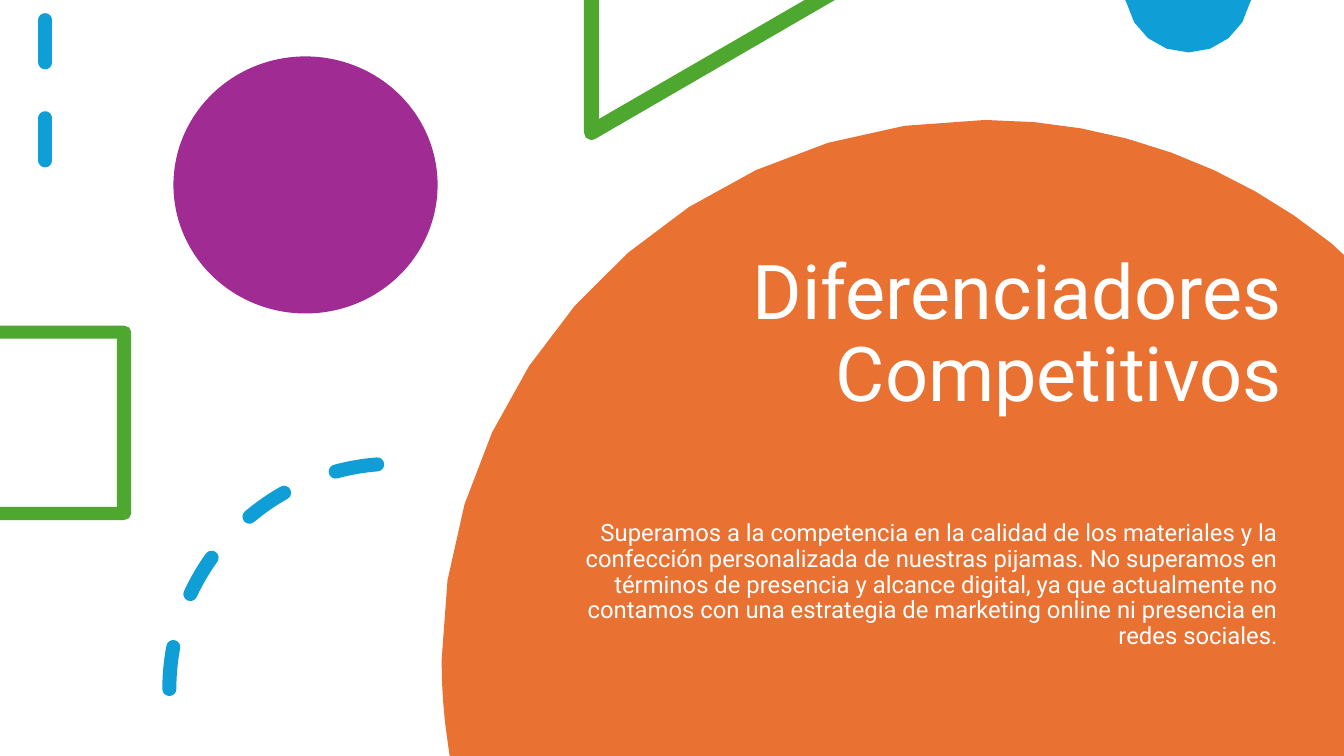
"""Build the slide on competitive differentiators."""
import math
import pptx
import pptx.util
import pptx.dml.color
import pptx.enum.dml
import pptx.enum.shapes
import pptx.enum.text
import pptx.oxml.ns
import lxml.etree

Inches = pptx.util.Inches
RGBColor = pptx.dml.color.RGBColor
KIND = pptx.enum.shapes.MSO_SHAPE
ANCHOR = pptx.enum.text.MSO_ANCHOR

ORANGE = RGBColor(0xE9, 0x71, 0x32)
GREEN = RGBColor(0x4E, 0xA7, 0x2E)
BLUE = RGBColor(0x0F, 0x9E, 0xD5)
PURPLE = RGBColor(0xA0, 0x2B, 0x93)
WHITE = RGBColor(0xFF, 0xFF, 0xFF)

deck = pptx.Presentation()
deck.slide_width = Inches(13.33)
deck.slide_height = Inches(7.5)
slide = deck.slides.add_slide(deck.slide_layouts[6])
shapes = slide.shapes


def write(text, left, top, width, height, size, anchor, before=0):
    """Add a white, right-aligned text box."""
    box = shapes.add_textbox(Inches(left), Inches(top), Inches(width), Inches(height))
    frame = box.text_frame
    frame.word_wrap = True
    frame.vertical_anchor = anchor
    para = frame.paragraphs[0]
    para.alignment = pptx.enum.text.PP_ALIGN.RIGHT
    para.line_spacing = 0.9
    para.space_before = pptx.util.Pt(before)
    run = para.add_run()
    run.text = text
    run.font.name = "Roboto"
    run.font.size = pptx.util.Pt(size)
    run.font.color.rgb = WHITE


def outline(color, start, *parts):
    """Fill a closed outline; two numbers make a line, six a Bézier curve."""
    points = [start]
    for part in parts:
        if len(part) == 2:
            points.append(part)
            continue
        ends = points[-1] + part
        steps = max(2, round(4 * math.sqrt(math.dist(ends[:2], ends[-2:]))))
        for step in range(1, steps + 1):
            t = step / steps
            mix = ((1 - t) ** 3, 3 * t * (1 - t) ** 2, 3 * t * t * (1 - t), t ** 3)
            points.append(tuple(sum(m * v for m, v in zip(mix, ends[axis::2])) for axis in (0, 1)))
    spots = [(Inches(x), Inches(y)) for x, y in points]
    pen = shapes.build_freeform(*spots[0])
    pen.add_line_segments(spots[1:], close=True)
    form = pen.convert_to_shape()
    form.shadow.inherit = False
    form.fill.solid()
    form.fill.fore_color.rgb = color
    form.line.fill.background()


outline(ORANGE, (13.33, 2.53), (13.33, 7.5), (4.46, 7.5), (4.44, 7.36),
        (4.4, 7.1, 4.38, 6.82, 4.38, 6.55), (4.38, 3.59, 6.79, 1.19, 9.77, 1.19),
        (11.07, 1.19, 12.26, 1.65, 13.2, 2.41))

write("Diferenciadores Competitivos", 5.6, 2.33, 7.21, 1.86, size=54, anchor=ANCHOR.BOTTOM)
write("Superamos a la competencia en la calidad de los materiales y la confección "
      "personalizada de nuestras pijamas. No superamos en términos de presencia y "
      "alcance digital, ya que actualmente no contamos con una estrategia de marketing "
      "online ni presencia en redes sociales.",
      5.56, 5.12, 7.21, 2.05, size=17, anchor=ANCHOR.TOP, before=10)

rule = shapes.add_connector(pptx.enum.shapes.MSO_CONNECTOR.STRAIGHT,
                            Inches(0.45), Inches(0.2), Inches(0.45), Inches(1.95))

outline(GREEN, (5.79, 0), (5.94, 0), (5.94, 1.18), (7.98, 0), (8.28, 0), (5.9, 1.38),
        (5.89, 1.38, 5.88, 1.39, 5.86, 1.39), (5.82, 1.39, 5.79, 1.35, 5.79, 1.31))
outline(BLUE, (11.16, 0), (12.41, 0), (12.4, 0.02), (12.34, 0.31, 12.09, 0.52, 11.79, 0.52),
        (11.48, 0.52, 11.23, 0.31, 11.17, 0.02))

disc = shapes.add_shape(KIND.OVAL, Inches(1.72), Inches(0.56), Inches(2.62), Inches(2.55))
disc.shadow.inherit = False
disc.fill.solid()
disc.fill.fore_color.rgb = PURPLE
disc.line.fill.background()

outline(GREEN, (0, 3.23), (0, 3.36), (1.16, 3.36), (1.16, 5.03), (0, 5.03),
        (0, 5.16), (1.23, 5.16), (1.27, 5.16, 1.3, 5.13, 1.3, 5.1), (1.3, 3.29),
        (1.3, 3.26, 1.27, 3.23, 1.23, 3.23))

arc = shapes.add_shape(KIND.ARC, Inches(1.68), Inches(4.6), Inches(4.47), Inches(4.47))
arc.rotation = 270
arc.fill.background()
for dash in (rule, arc):
    dash.line.color.rgb = BLUE
    dash.line.width = pptx.util.Pt(10)
    dash.line.dash_style = pptx.enum.dml.MSO_LINE.DASH
    props = dash._element.spPr
    props.find(pptx.oxml.ns.qn("a:ln")).set("cap", "rnd")
    lxml.etree.SubElement(props, pptx.oxml.ns.qn("a:effectLst"))

deck.save("out.pptx")
